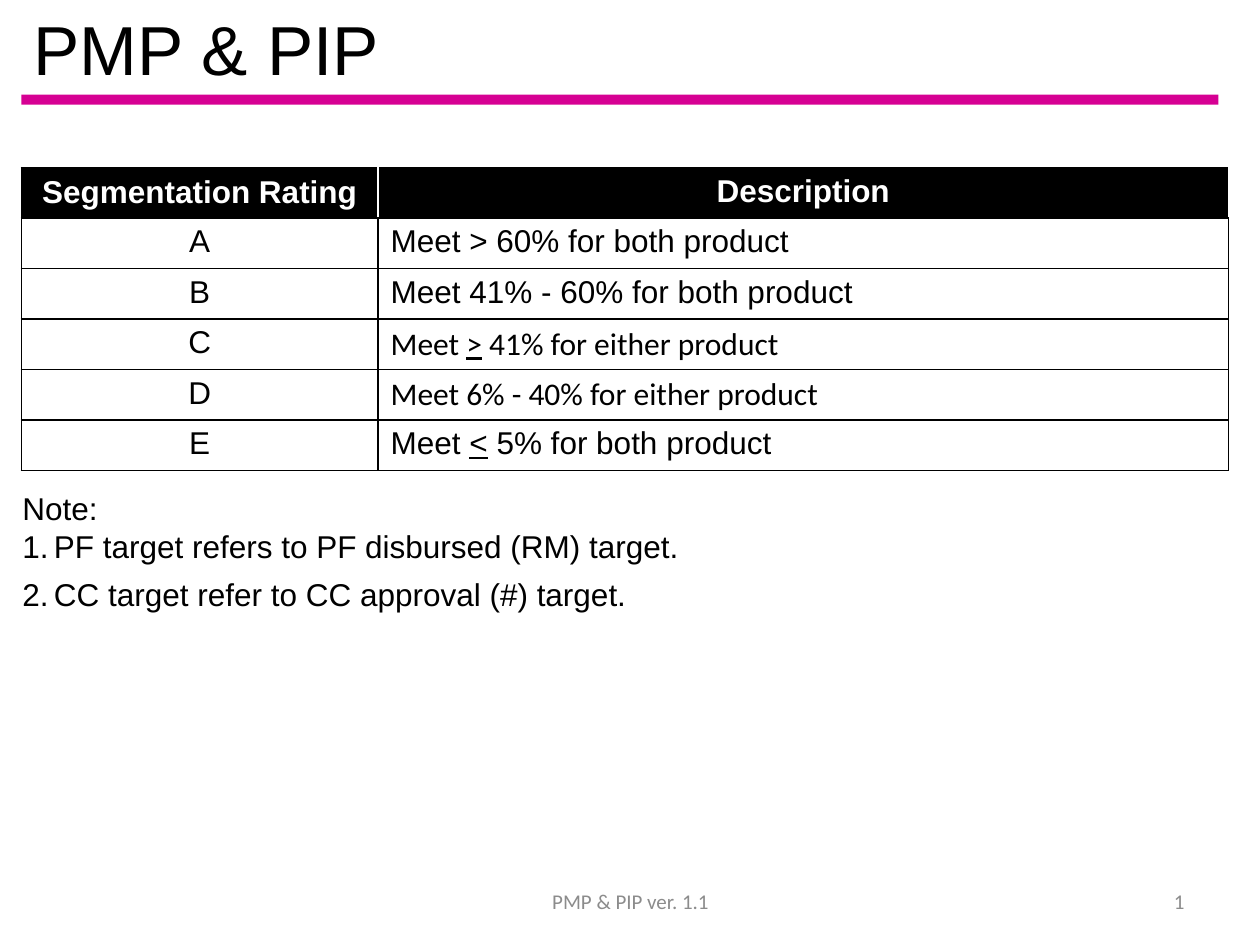
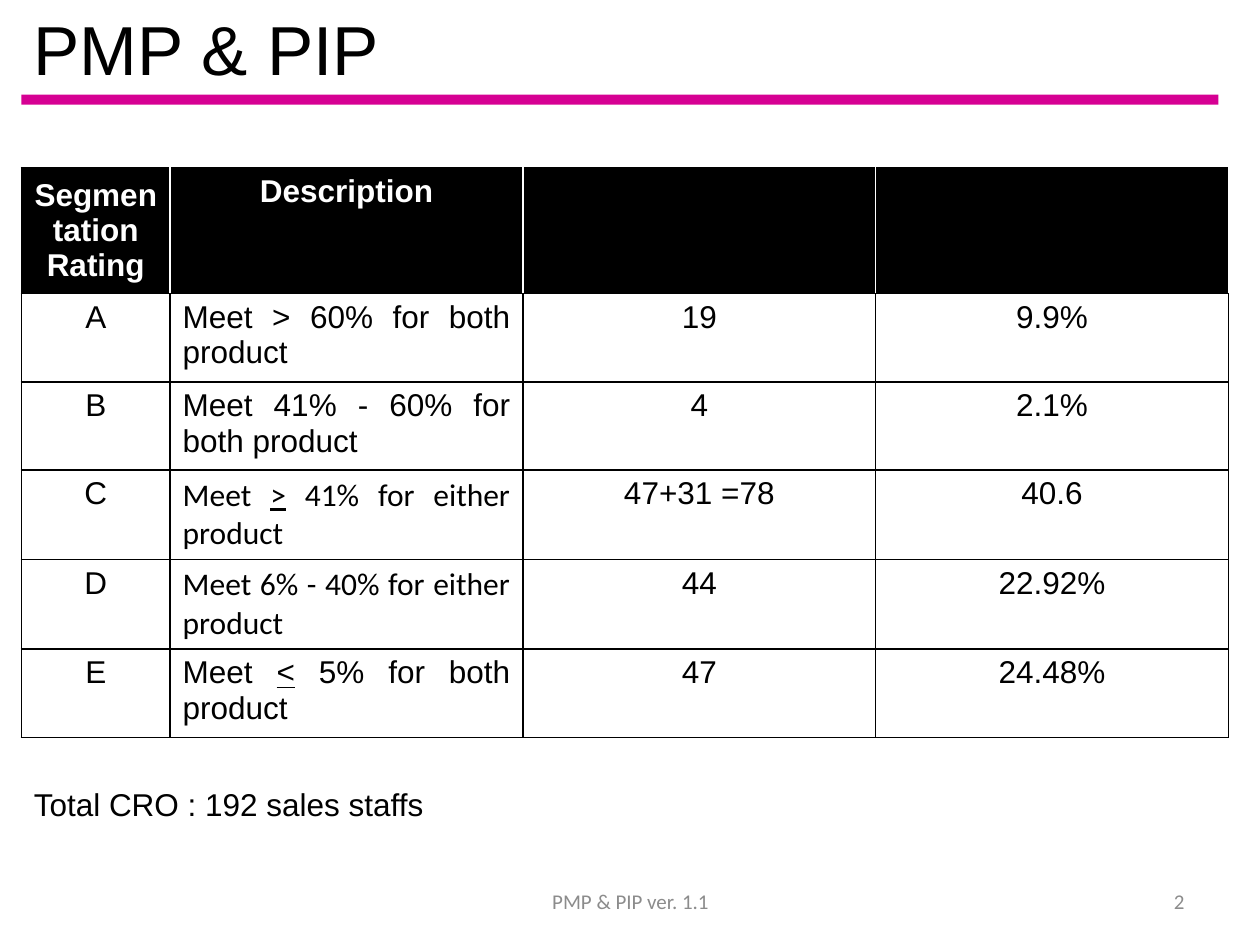
"""Build two slides on PMP & PIP segmentation ratings."""
from lxml import etree
from pptx import Presentation
from pptx.dml.color import RGBColor
from pptx.enum import shapes, text
from pptx.oxml import ns
from pptx.util import Inches, Pt

BLACK = RGBColor(0x00, 0x00, 0x00)
WHITE = RGBColor(0xFF, 0xFF, 0xFF)
MAGENTA = RGBColor(0xD6, 0x00, 0x93)
GREY = RGBColor(0x8C, 0x8C, 0x8C)
LEFT, CENTER, RIGHT, JUSTIFY = (
    text.PP_ALIGN.LEFT, text.PP_ALIGN.CENTER, text.PP_ALIGN.RIGHT, text.PP_ALIGN.JUSTIFY)
TOP, MIDDLE = text.MSO_ANCHOR.TOP, text.MSO_ANCHOR.MIDDLE


def style_paragraph(paragraph, align, size=18, color=BLACK, font="Arial", bold=False):
    paragraph.alignment = align
    for run in paragraph.runs:
        run.font.size = Pt(size)
        run.font.name = font
        run.font.color.rgb = color
        run.font.bold = bold


def add_label(slide, box, lines, align=LEFT, anchor=TOP, **look):
    frame = slide.shapes.add_textbox(*[Inches(side) for side in box]).text_frame
    frame.word_wrap = True
    frame.vertical_anchor = anchor
    frame.text = lines
    for paragraph in frame.paragraphs:
        style_paragraph(paragraph, align, **look)
    return frame


ratings = [
    ("A", ["Meet > 60% for both product"], "Arial", "19", "9.9%"),
    ("B", ["Meet 41% - 60% for both product"], "Arial", "4", "2.1%"),
    ("C", ["Meet ", ">", " 41% for either product"], "Calibri", "47+31 =78", "40.6"),
    ("D", ["Meet 6% - 40% for either product"], "Calibri", "44", "22.92%"),
    ("E", ["Meet ", "<", " 5% for both product"], "Arial", "47", "24.48%"),
]
headings = ["Segmentation Rating", "Description", "", ""]
layouts = [
    ([2.83, 6.75], [0.4] * 6),
    ([1.18, 2.8, 2.8, 2.8], [0.94, 0.66, 0.66, 0.71, 0.71, 0.66]),
]

deck = Presentation()
deck.slide_width, deck.slide_height = Inches(10), Inches(7.5)
slides = []

for number, (widths, heights) in enumerate(layouts, 1):
    slide = deck.slides.add_slide(deck.slide_layouts[6])
    slides.append(slide)
    band = slide.shapes.add_shape(
        shapes.MSO_SHAPE.RECTANGLE, Inches(0.17), Inches(0.75), Inches(9.5), Inches(0.08))
    band.shadow.inherit = False
    band.fill.solid()
    band.fill.fore_color.rgb = MAGENTA
    band.line.fill.background()
    add_label(slide, (0.17, 0.17, 9, 0.42), "PMP & PIP", anchor=MIDDLE, size=39.6)
    footer = dict(anchor=MIDDLE, size=12, color=GREY, font="Calibri")
    add_label(slide, (3.42, 6.95, 3.17, 0.4), "PMP & PIP ver. 1.1", CENTER, **footer)
    add_label(slide, (7.17, 6.95, 2.33, 0.4), str(number), RIGHT, **footer)

    table = slide.shapes.add_table(
        len(heights), len(widths), Inches(0.17), Inches(1.33),
        Inches(sum(widths)), Inches(sum(heights))).table
    table.first_row = table.horz_banding = False
    for column, width in zip(table.columns, widths):
        column.width = Inches(width)
    for row, height in zip(table.rows, heights):
        row.height = Inches(height)

    for r in range(len(heights)):
        for c in range(len(widths)):
            cell = table.cell(r, c)
            paragraph = cell.text_frame.paragraphs[0]
            if r == 0:
                paragraph.text = headings[c]
                style_paragraph(paragraph, CENTER, color=WHITE, bold=True)
                cell.vertical_anchor = MIDDLE if c == 0 else TOP
                cell.fill.solid()
                cell.fill.fore_color.rgb = BLACK
            else:
                rating, description, font, staff, share = ratings[r - 1]
                if c == 1:
                    for part in description:
                        run = paragraph.add_run()
                        run.text = part
                        run.font.underline = part in "<>"
                    style_paragraph(paragraph, JUSTIFY, font=font)
                else:
                    paragraph.text = (rating, "", staff, share)[c]
                    style_paragraph(paragraph, CENTER)
                cell.fill.background()
            properties = cell._tc.get_or_add_tcPr()
            for position, edge in enumerate(("lnL", "lnR", "lnT", "lnB")):
                inner = r == 0 and (edge == "lnR" or edge == "lnL" and c > 0)
                line = etree.Element(ns.qn("a:" + edge), w=str(Pt(1)))
                fill = etree.SubElement(line, ns.qn("a:solidFill"))
                etree.SubElement(fill, ns.qn("a:srgbClr"), val=str(WHITE if inner else BLACK))
                properties.insert(position, line)

rating_slide, staff_slide = slides
notes = add_label(
    rating_slide, (0.08, 3.83, 9.67, 1.09),
    "Note:\nPF target refers to PF disbursed (RM) target.\n"
    "CC target refer to CC approval (#) target.")
for target in notes.paragraphs[1:]:
    target.alignment = JUSTIFY
    target.space_after = Pt(6)
    properties = target._p.get_or_add_pPr()
    properties.set("marL", str(Inches(0.25)))
    properties.set("indent", str(-Inches(0.25)))
    etree.SubElement(properties, ns.qn("a:buFont"), typeface="+mj-lt")
    etree.SubElement(properties, ns.qn("a:buAutoNum"), type="arabicPeriod")

add_label(staff_slide, (0.17, 6.18, 9.67, 0.4), "Total CRO : 192 sales staffs")
deck.save("out.pptx")
